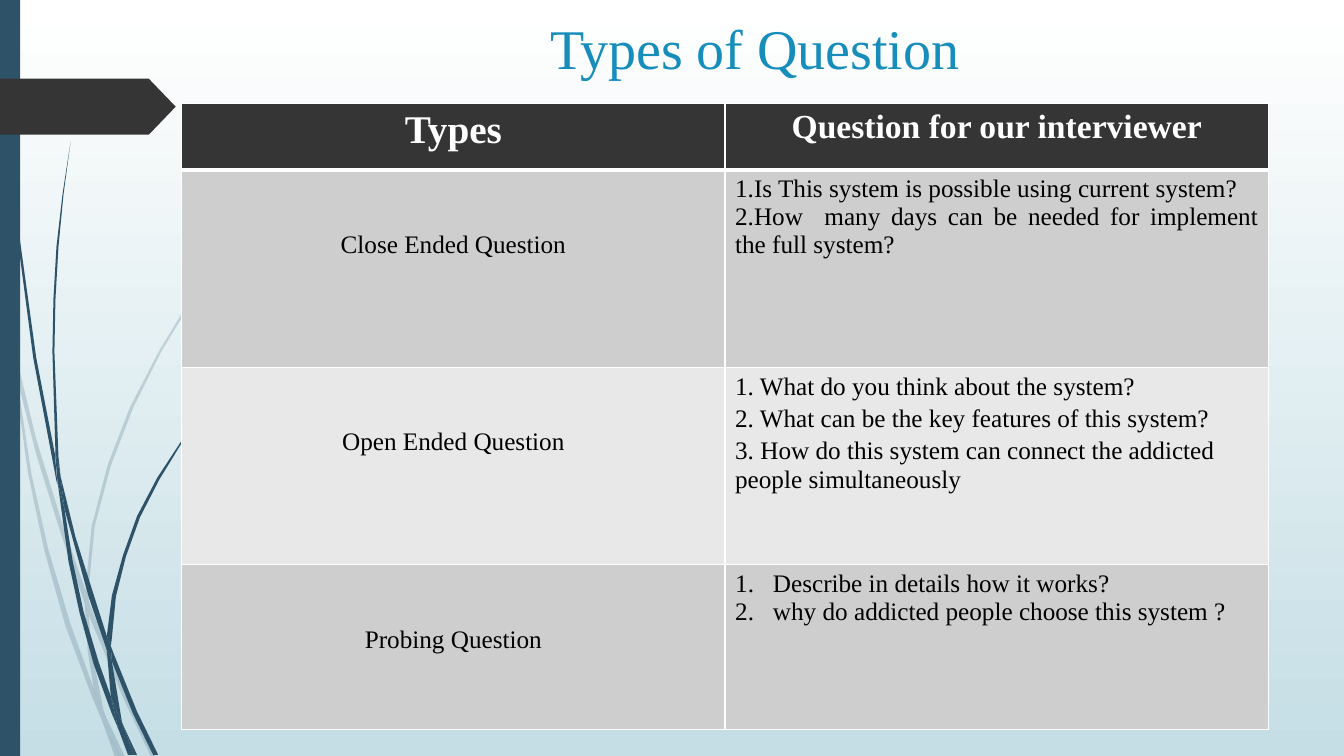
from lxml.etree import SubElement
from pptx import Presentation
from pptx.dml.color import RGBColor
from pptx.enum.shapes import MSO_SHAPE as Shape
from pptx.enum.text import MSO_ANCHOR as Anchor, PP_ALIGN as Align
from pptx.oxml.ns import qn
from pptx.util import Pt

FONT = "Times New Roman"
NAVY, CHARCOAL, WHITE, BLACK = "2E5369", "353535", "FFFFFF", "000000"
TITLE = "Types of Question"
HEADERS = [("Types", 28), ("Question for our interviewer", 24)]
QUESTIONS = [
    ("Close Ended Question", "justified", [
        "1.Is This system is possible using current system?",
        "2.How  many days can be needed for implement the full system?"]),
    ("Open Ended Question", "spaced", [
        "1. What do you think about the system?",
        "2. What can be the key features of this system?",
        "3. How do this system can connect the addicted people simultaneously"]),
    ("Probing Question", "numbered", [
        "Describe in details how it works?",
        "why do addicted people choose this system ?"]),
]
ROW_HEIGHTS = [47.5, 141, 141, 117.5]
BAND_COLORS = ["CECECE", "E8E8E8"]

GRASS_UNIT = .72
PALE_GRASS = [
    [(11, 350), (9, 322), (0, 282), (0, 299), (10, 344)],
    [(58, 522), (84, 599), (85, 586), (62, 520), (36, 436), (14, 345), (17, 376),
     (36, 451)],
    [(92, 607), (88, 596), (88, 610), (123, 694), (150, 751), (155, 751), (127, 692)],
    [(119, 751), (124, 751), (105, 711)],
    [(93, 683), (70, 619), (48, 545), (31, 469), (17, 376), (11, 350), (28, 470),
     (44, 546), (65, 621), (92, 693), (101, 714), (99, 707)],
    [(84, 599), (87, 646), (93, 683), (96, 692), (105, 711), (103, 706), (91, 646),
     (88, 610), (88, 608)],
    [(88, 584), (94, 522), (110, 462), (132, 405), (160, 349), (192, 296), (229, 245),
     (268, 198), (290, 175), (312, 154), (312, 153), (289, 175), (268, 197),
     (228, 244), (190, 295), (158, 348), (129, 404), (107, 461), (91, 522),
     (85, 584), (85, 586), (88, 596)],
    [(101, 714), (114, 751), (119, 751)],
    [(88, 608), (88, 610), (88, 596), (85, 586), (84, 599)],
    [(96, 692), (93, 683), (99, 707), (101, 714), (119, 751), (105, 711)],
]
DARK_GRASS = [
    [(7, 110), (17, 233), (33, 355), (56, 477), (57, 481), (55, 457), (55, 453),
     (36, 355), (19, 232), (8, 109), (5, 48), (4, 0), (3, 0), (4, 48)],
    [(88, 592), (106, 645), (106, 631), (93, 590), (75, 533), (60, 472), (64, 505)],
    [(113, 649), (110, 641), (111, 656), (132, 708), (152, 749), (157, 749),
     (136, 706)],
    [(110, 691), (98, 657), (83, 607), (72, 556), (64, 505), (57, 477), (68, 557),
     (79, 608), (93, 659), (111, 708), (117, 722), (116, 717)],
    [(60, 472), (58, 453), (54, 349), (55, 297), (58, 245), (63, 193), (70, 141),
     (62, 193), (56, 245), (53, 297), (52, 349), (55, 449)],
    [(133, 749), (136, 749), (122, 719)],
    [(57, 477), (64, 505), (60, 472), (55, 449), (55, 453)],
    [(111, 633), (115, 592), (125, 552), (139, 513), (158, 476), (180, 440),
     (205, 406), (231, 374), (245, 359), (261, 344), (260, 344), (245, 358),
     (231, 373), (204, 405), (179, 439), (156, 474), (136, 512), (122, 551),
     (111, 591), (106, 631), (110, 641)],
    [(117, 722), (127, 749), (131, 749)],
    [(106, 645), (110, 691), (116, 706), (122, 719), (121, 716), (111, 656),
     (109, 651)],
    [(106, 645), (109, 651), (111, 656), (110, 641), (106, 631)],
    [(116, 706), (110, 691), (116, 717), (117, 722), (130, 749), (133, 749),
     (122, 719)],
]


def rgb(value):
    return RGBColor.from_string(value)


def paint(shape, color, alpha=None):
    shape.shadow.inherit = False
    shape.fill.solid()
    shape.fill.fore_color.rgb = rgb(color)
    shape.line.fill.background()
    if alpha:
        color_element = next(shape._element.spPr.iter(qn("a:srgbClr")))
        SubElement(color_element, qn("a:alpha"), val=str(alpha * 1000))


def add_grass(blades, alpha=None):
    group = slide.shapes.add_group_shape()
    for blade in blades:
        outline = [(Pt(x * GRASS_UNIT), Pt(y * GRASS_UNIT)) for x, y in blade]
        builder = group.shapes.build_freeform(*outline[0])
        builder.add_line_segments(outline[1:], close=True)
        paint(builder.convert_to_shape(), NAVY, alpha)


def style_cell(cell, fill, bottom=1):
    properties = cell._tc.get_or_add_tcPr()
    for tag, width in (("lnL", 1), ("lnR", 1), ("lnT", 1), ("lnB", bottom)):
        border = SubElement(properties, qn("a:" + tag), w=str(Pt(width)))
        SubElement(SubElement(border, qn("a:solidFill")), qn("a:srgbClr"), val=WHITE)
    cell.fill.solid()
    cell.fill.fore_color.rgb = rgb(fill)


def write(frame, lines, size, color, align=Align.LEFT, bold=False):
    frame.text = "\n".join(lines)
    for paragraph in frame.paragraphs:
        paragraph.alignment = align
        font = paragraph.font
        font.name, font.size, font.bold = FONT, Pt(size), bold
        font.color.rgb = rgb(color)


presentation = Presentation()
presentation.slide_width, presentation.slide_height = Pt(960), Pt(540)
slide = presentation.slides.add_slide(presentation.slide_layouts[5])
background = slide.background.fill
background.gradient()
background.gradient_angle = 270
for stop, color in zip(background.gradient_stops, (WHITE, "C5DEE5")):
    stop.color.rgb = rgb(color)

add_grass(PALE_GRASS, alpha=20)
add_grass(DARK_GRASS)
side_bar = slide.shapes.add_shape(Shape.RECTANGLE, 0, 0, Pt(14.4), Pt(540))
paint(side_bar, NAVY)
tag = slide.shapes.add_shape(Shape.PENTAGON, 0, Pt(56.2), Pt(125.5), Pt(40))
tag.adjustments[0] = .48
paint(tag, CHARCOAL)

title = slide.shapes.title
title.left, title.top, title.width, title.height = Pt(192.5), Pt(5), Pt(693.5), Pt(69)
title.text_frame.vertical_anchor = Anchor.MIDDLE
title.text_frame.margin_bottom = Pt(15.5)
write(title.text_frame, [TITLE], 40, "178DBB", Align.CENTER)

table = slide.shapes.add_table(
    len(ROW_HEIGHTS), 2, Pt(129.75), Pt(73.9), Pt(776.4), Pt(sum(ROW_HEIGHTS))).table
for row, height in zip(table.rows, ROW_HEIGHTS):
    row.height = Pt(height)
for column, (header, size) in enumerate(HEADERS):
    cell = table.cell(0, column)
    style_cell(cell, CHARCOAL, bottom=3)
    write(cell.text_frame, [header], size, WHITE, Align.CENTER, bold=True)

for row, (kind, layout, questions) in enumerate(QUESTIONS, start=1):
    kind_cell, question_cell = table.cell(row, 0), table.cell(row, 1)
    for cell in (kind_cell, question_cell):
        style_cell(cell, BAND_COLORS[(row - 1) % 2])
    kind_cell.margin_top = Pt(43.6)
    write(kind_cell.text_frame, [kind], 18, BLACK, Align.CENTER)
    align = Align.JUSTIFY if layout == "justified" else Align.LEFT
    write(question_cell.text_frame, questions, 18, BLACK, align)
    for paragraph in question_cell.text_frame.paragraphs:
        if layout == "spaced":
            paragraph.line_spacing = 1.04
            paragraph.space_before = Pt(1.8)
        elif layout == "numbered":
            properties = paragraph._p.get_or_add_pPr()
            properties.set("marL", str(Pt(27)))
            properties.set("indent", str(-Pt(27)))
            numbering = properties.makeelement(
                qn("a:buAutoNum"), {"type": "arabicPeriod"})
            properties.insert(0, numbering)

presentation.save("out.pptx")
